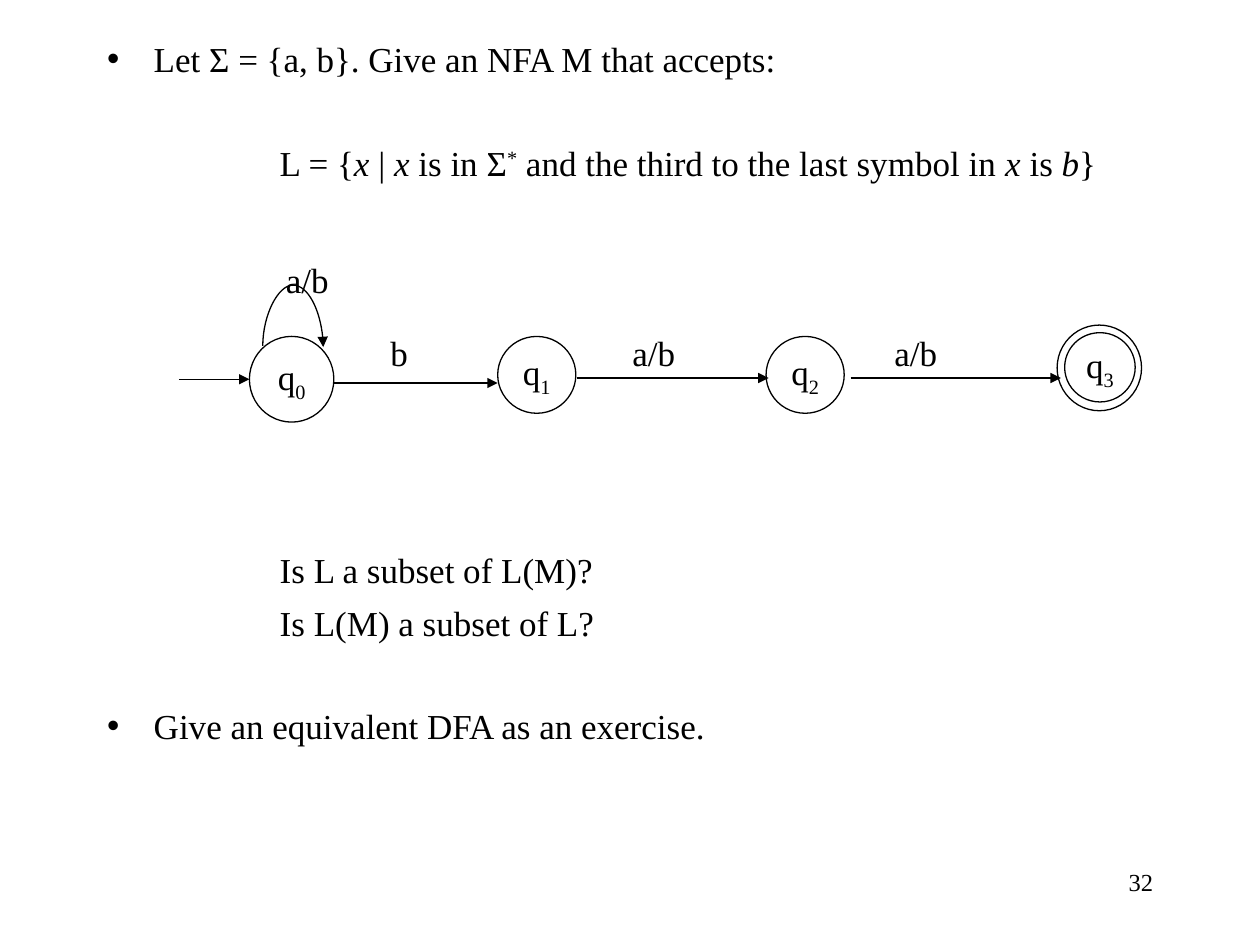
from dataclasses import dataclass

from lxml import etree
from pptx import Presentation
from pptx.dml.color import RGBColor
from pptx.enum.shapes import MSO_CONNECTOR, MSO_SHAPE
from pptx.enum.text import MSO_ANCHOR, MSO_AUTO_SIZE, PP_ALIGN
from pptx.oxml.ns import qn
from pptx.util import Inches, Pt

STRAIGHT, CURVE = MSO_CONNECTOR.STRAIGHT, MSO_CONNECTOR.CURVE
OVAL = MSO_SHAPE.OVAL
MIDDLE = MSO_ANCHOR.MIDDLE
NO_AUTOFIT = MSO_AUTO_SIZE.NONE
LEFT, CENTER, RIGHT = PP_ALIGN.LEFT, PP_ALIGN.CENTER, PP_ALIGN.RIGHT


@dataclass(frozen=True)
class Theme:
    font: str = "Times New Roman"
    ink: RGBColor = RGBColor(0, 0, 0)
    body_size: int = 20
    number_size: int = 14
    line_width: float = 0.75
    line_height: int = 23
    line_pitch: int = 29


@dataclass(frozen=True)
class Run:
    text: str
    italic: bool = False
    baseline: int = 0


@dataclass(frozen=True)
class Line:
    """A body line that stands a number of line steps below the one before."""
    runs: tuple[Run, ...]
    steps: int
    bullet: bool = False


@dataclass(frozen=True)
class State:
    index: str
    left: float
    top: float
    width: float
    height: float


@dataclass(frozen=True)
class Arrow:
    start: float
    end: float
    y: float


@dataclass(frozen=True)
class Label:
    text: str
    left: float
    top: float
    width: float = 0.58


THEME = Theme()

BODY = (
    Line((Run("Let Σ = {a, b}. Give an NFA M that accepts:"),), 1, bullet=True),
    Line((Run("L = {"), Run("x", italic=True), Run(" | "), Run("x", italic=True),
          Run(" is in Σ"), Run("*", baseline=30),
          Run(" and the third to the last symbol in "), Run("x", italic=True),
          Run(" is "), Run("b", italic=True), Run("}")), 2),
    Line((Run("Is L a subset of L(M)?"),), 8),
    Line((Run("Is L(M) a subset of L?"),), 1),
    Line((Run("Give an equivalent DFA as an exercise."),), 2, bullet=True),
)
STATES = (
    State("0", 1.98, 2.67, 0.67, 0.68),
    State("1", 3.95, 2.67, 0.62, 0.61),
    State("2", 6.08, 2.67, 0.62, 0.61),
    State("3", 8.45, 2.64, 0.56, 0.55),
)
ACCEPTING_RING = State("", 8.39, 2.58, 0.67, 0.68)
ARROWS = (
    Arrow(1.42, 1.98, 3.01),
    Arrow(2.65, 3.95, 3.04),
    Arrow(4.58, 6.1, 3),
    Arrow(6.75, 8.42, 3),
)
LABELS = (
    Label("a/b", 2.17, 2),
    Label("b", 3, 2.58),
    Label("a/b", 4.92, 2.58),
    Label("a/b", 7, 2.58),
)


def write(paragraph, runs: tuple[Run, ...], size: int = THEME.body_size, align=LEFT) -> None:
    paragraph.alignment = align
    paragraph.font.name = THEME.font
    paragraph.font.size = Pt(size)
    paragraph.font.color.rgb = THEME.ink
    for part in runs:
        run = paragraph.add_run()
        run.text = part.text
        if part.italic:
            run.font.italic = True
        if part.baseline:
            run.font._element.set("baseline", str(part.baseline * 1000))


def fill_body(body) -> None:
    body.left, body.top = Inches(0.75), Inches(0.25)
    body.width, body.height = Inches(8.5), Inches(6.92)
    frame = body.text_frame
    frame.auto_size = NO_AUTOFIT
    for number, line in enumerate(BODY):
        paragraph = frame.add_paragraph() if number else frame.paragraphs[0]
        write(paragraph, line.runs)
        paragraph.space_before = Pt(line.steps * THEME.line_pitch - THEME.line_height)
        properties = paragraph._p.get_or_add_pPr()
        properties.set("marL", str(Inches(0.37 if line.bullet else 1.37)))
        properties.set("indent", str(Inches(-0.37 if line.bullet else 0)))
        if not line.bullet:
            properties.find(qn("a:spcBef")).addnext(etree.Element(qn("a:buNone")))


def draw_state(shapes, state: State) -> None:
    circle = shapes.add_shape(OVAL, Inches(state.left), Inches(state.top),
                              Inches(state.width), Inches(state.height))
    circle.shadow.inherit = False
    circle.fill.background()
    circle.line.color.rgb = THEME.ink
    circle.line.width = Pt(THEME.line_width)
    if state.index:
        frame = circle.text_frame
        frame.word_wrap = False
        frame.vertical_anchor = MIDDLE
        write(frame.paragraphs[0], (Run("q"), Run(state.index, baseline=-25)), align=CENTER)


def draw_arrow(shapes, kind, x1: float, y1: float, x2: float, y2: float):
    arrow = shapes.add_connector(kind, Inches(x1), Inches(y1), Inches(x2), Inches(y2))
    arrow.line.color.rgb = THEME.ink
    arrow.line.width = Pt(THEME.line_width)
    etree.SubElement(arrow.line._get_or_add_ln(), qn("a:tailEnd"), type="triangle")
    etree.SubElement(arrow._element.spPr, qn("a:effectLst"))
    return arrow


def draw_self_loop(shapes) -> None:
    """Turn a thin curved connector on its side; its adjustment sets the loop height."""
    loop = draw_arrow(shapes, CURVE, 2.32, 2.51, 2.33, 2.99)
    properties = loop._element.spPr
    transform = properties.find(qn("a:xfrm"))
    transform.set("rot", str(270 * 60000))
    transform.set("flipH", "1")
    guides = properties.find(qn("a:prstGeom")).find(qn("a:avLst"))
    etree.SubElement(guides, qn("a:gd"), name="adj1", fmla="val -4900000")


def add_text(shapes, label: Label, height: float = 0.44,
             size: int = THEME.body_size, align=LEFT) -> None:
    box = shapes.add_textbox(Inches(label.left), Inches(label.top),
                             Inches(label.width), Inches(height))
    box.text_frame.word_wrap = True
    write(box.text_frame.paragraphs[0], (Run(label.text),), size, align)


def main() -> None:
    deck = Presentation()
    deck.slide_width, deck.slide_height = Inches(10), Inches(7.5)
    slide = deck.slides.add_slide(deck.slide_layouts[1])
    shapes = slide.shapes
    title = shapes.title._element
    title.getparent().remove(title)

    add_text(shapes, Label("32", 7.17, 6.83, 2.08), 0.5, THEME.number_size, RIGHT)
    fill_body(slide.placeholders[1])
    for state in (*STATES, ACCEPTING_RING):
        draw_state(shapes, state)
    for arrow in ARROWS:
        draw_arrow(shapes, STRAIGHT, arrow.start, arrow.y, arrow.end, arrow.y)
    draw_self_loop(shapes)
    for label in LABELS:
        add_text(shapes, label)
    deck.save("out.pptx")


if __name__ == "__main__":
    main()
